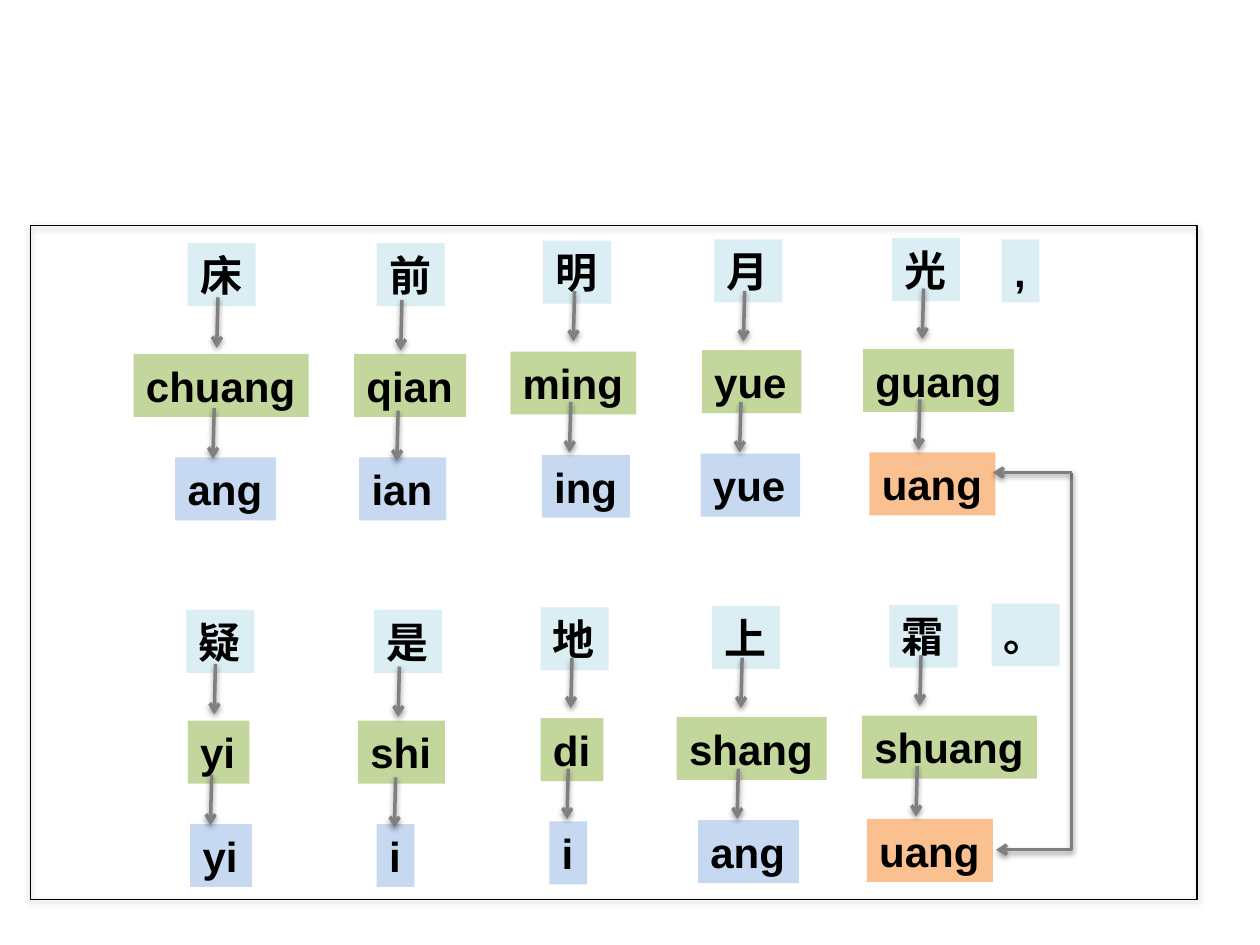
"""Build a slide that breaks two verses into characters, pinyin and rhymes."""
import dataclasses

import lxml.etree
import pptx
import pptx.dml.color
import pptx.enum.shapes
import pptx.enum.text
import pptx.oxml.ns
import pptx.util


@dataclasses.dataclass(frozen=True)
class Theme:
    font: str = "Arial"
    size: int = 24
    ink: str = "000000"
    character: str = "DBEEF4"
    syllable: str = "C3D69B"
    final: str = "C6D9F1"
    rhyme: str = "FAC090"
    arrow: str = "808080"
    bracket: str = "7F7F7F"
    arrow_weight: float = 2
    frame_weight: float = 0.75


THEME = Theme()
CELLS_PER_INCH = 10
BOX_HEIGHT = 5
ROW_TOPS = (19.3, 28.1, 36.3)
COLUMN_RISES = (0, 0, 0.2, 0.3, 0.4)
ARROW_STARTS = ((17.3, 23.6), (31.9, 23.8), (45.6, 23.1), (59.1, 23.1), (73.3, 22.9))
ARROW_ROW_STEP = (-0.3, 8.8)
ARROW_SPAN = (-0.1, 4)
VERSE_STEP = (-0.2, 29.1)
VERSES = (
    (
        (("床", 14.9), ("前", 29.9), ("明", 43.1), ("月", 56.7), ("光", 70.8)),
        (("chuang", 10.6), ("qian", 28.1), ("ming", 40.5), ("yue", 55.7), ("guang", 68.5)),
        (("ang", 13.9), ("ian", 28.5), ("ing", 43), ("yue", 55.6), ("uang", 69)),
    ),
    (
        (("疑", 14.8), ("是", 29.7), ("地", 42.9), ("上", 56.5), ("霜", 70.6)),
        (("yi", 14.9), ("shi", 28.4), ("di", 42.9), ("shang", 53.7), ("shuang", 68.4)),
        (("yi", 15.1), ("i", 29.9), ("i", 43.6), ("ang", 55.4), ("uang", 68.8)),
    ),
)
PUNCTUATION = ((",", 79.5, 19), ("。", 78.7, 47.9))


def grid(*cells):
    """Turn grid cells into lengths."""
    return [pptx.util.Inches(cell / CELLS_PER_INCH) for cell in cells]


def color(value):
    """Turn a hex value into a colour."""
    return pptx.dml.color.RGBColor.from_string(value)


def text_width(text):
    """Return the cells that a word needs with its side margins."""
    groups = {"i,": 0.9, "acesy": 1.9, "m": 3, "dghnqu": 2}
    widths = {letter: width for letters, width in groups.items() for letter in letters}
    return 2.1 + sum(widths.get(letter, 3.3) for letter in text)


def add_shadow(shape, *, opacity, distance):
    """Give a shape a soft shadow below it."""
    name = pptx.oxml.ns.qn
    properties = shape._element.spPr
    effects = lxml.etree.SubElement(properties, name("a:effectLst"))
    shadow = lxml.etree.SubElement(
        effects, name("a:outerShdw"), blurRad="40000", dist=str(distance),
        dir="5400000", rotWithShape="0")
    shade = lxml.etree.SubElement(shadow, name("a:srgbClr"), val=THEME.ink)
    lxml.etree.SubElement(shade, name("a:alpha"), val=str(opacity * 1000))


def add_frame(page, left, top, width, height):
    """Add the outline around both verses."""
    frame = page.shapes.add_shape(
        pptx.enum.shapes.MSO_SHAPE.RECTANGLE, *grid(left, top, width, height))
    frame.fill.background()
    frame.line.color.rgb = color(THEME.ink)
    frame.line.width = pptx.util.Pt(THEME.frame_weight)
    add_shadow(frame, opacity=35, distance=23000)


def add_word(page, text, *, left, top, fill):
    """Add a word in a filled box as wide as the word."""
    box = page.shapes.add_textbox(*grid(left, top, text_width(text), BOX_HEIGHT))
    box.fill.solid()
    box.fill.fore_color.rgb = color(fill)
    box.text_frame.word_wrap = False
    box.text_frame.auto_size = pptx.enum.text.MSO_AUTO_SIZE.SHAPE_TO_FIT_TEXT
    span = box.text_frame.paragraphs[0].add_run()
    span.text = text
    span.font.name = THEME.font
    span.font.size = pptx.util.Pt(THEME.size)
    span.font.bold = True
    span.font.color.rgb = color(THEME.ink)


def add_arrow(page, start, end, *, stroke, kind="STRAIGHT"):
    """Add a connector with an open arrowhead and a shadow."""
    arrow = page.shapes.add_connector(
        pptx.enum.shapes.MSO_CONNECTOR[kind], *grid(*start, *end))
    arrow.line.color.rgb = color(stroke)
    arrow.line.width = pptx.util.Pt(THEME.arrow_weight)
    lxml.etree.SubElement(
        arrow.line._get_or_add_ln(), pptx.oxml.ns.qn("a:tailEnd"), type="arrow")
    add_shadow(arrow, opacity=38, distance=20000)
    return arrow


def add_verse(page, rows, *, shift, drop):
    """Add the boxes of a verse and the arrows between its rows."""
    fills = (THEME.character, THEME.syllable, THEME.final)
    for row, row_top, row_fill in zip(rows, ROW_TOPS, fills):
        for (text, left), rise in zip(row, COLUMN_RISES):
            fill = THEME.rhyme if text == "uang" else row_fill
            add_word(page, text, left=left, top=row_top + drop - rise, fill=fill)
    for step in range(len(rows) - 1):
        for column, row in ARROW_STARTS:
            start = (column + shift + step * ARROW_ROW_STEP[0],
                     row + drop + step * ARROW_ROW_STEP[1])
            end = (start[0] + ARROW_SPAN[0], start[1] + ARROW_SPAN[1])
            add_arrow(page, start, end, stroke=THEME.arrow)


def add_rhyme_bracket(page):
    """Link the two rhyming finals on the right."""
    elbow = add_arrow(page, (67.1, 49.5), (97, 55.5), stroke=THEME.bracket, kind="ELBOW")
    name = pptx.oxml.ns.qn
    elbow._element.spPr.find(name("a:xfrm")).set("rot", "5400000")
    adjustments = elbow._element.spPr.find(name("a:prstGeom")).find(name("a:avLst"))
    lxml.etree.SubElement(adjustments, name("a:gd"), name="adj1", fmla="val 99900")
    add_arrow(page, (85.1, 37.5), (78.8, 37.5), stroke=THEME.bracket)


def main():
    """Build and save the deck."""
    deck = pptx.Presentation()
    deck.slide_width, deck.slide_height = grid(100, 75)
    page = deck.slides.add_slide(deck.slide_layouts.get_by_name("Blank"))
    add_frame(page, 2.4, 17.9, 92.6, 53.5)
    for number, rows in enumerate(VERSES):
        add_verse(page, rows, shift=number * VERSE_STEP[0], drop=number * VERSE_STEP[1])
    for mark, left, top in PUNCTUATION:
        add_word(page, mark, left=left, top=top, fill=THEME.character)
    add_rhyme_bracket(page)
    deck.save("out.pptx")


if __name__ == "__main__":
    main()
